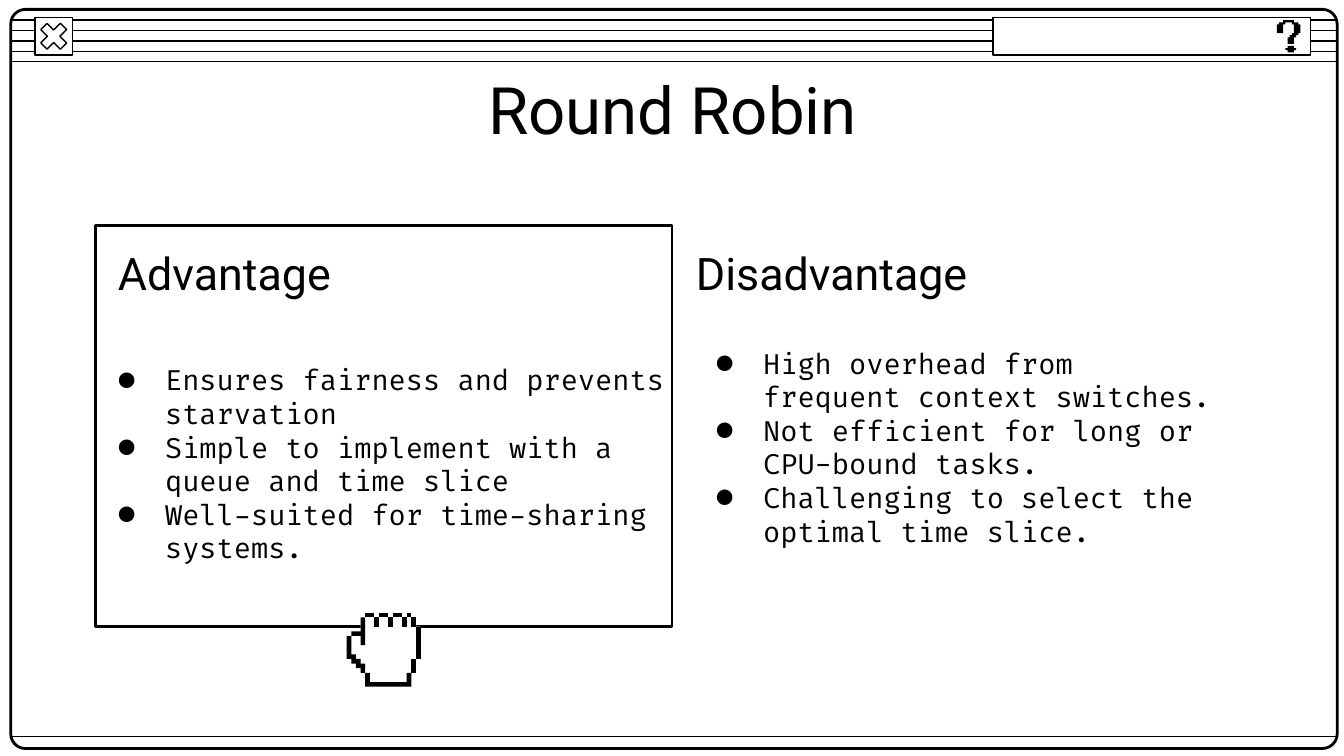
import pptx
import pptx.dml.color
import pptx.enum.shapes
import pptx.enum.text
import pptx.oxml
import pptx.oxml.ns
import pptx.util
from dataclasses import dataclass

Inches = pptx.util.Inches
SHAPE = pptx.enum.shapes.MSO_SHAPE
ALIGN = pptx.enum.text.PP_ALIGN


@dataclass(frozen=True)
class Theme:
    ink: pptx.dml.color.RGBColor = pptx.dml.color.RGBColor(0, 0, 0)
    paper: pptx.dml.color.RGBColor = pptx.dml.color.RGBColor(255, 255, 255)
    heading_font: str = "Roboto"
    body_font: str = "Fira Code"
    title_size: float = 35
    heading_size: float = 24
    body_size: float = 15
    thin: float = 0.75
    thick: float = 1.5


THEME = Theme()

# Pixel art: outlines are corners counted in grid cells
QUESTION_HOOK = [
    (3, 0), (3, 1), (1, 1), (1, 2), (0, 2), (0, 6), (3, 6), (3, 2),
    (4, 2), (4, 1), (7, 1), (7, 2), (8, 2), (8, 6), (7, 6), (7, 7),
    (6, 7), (6, 8), (5, 8), (5, 11), (8, 11), (8, 8), (9, 8), (9, 7),
    (10, 7), (10, 6), (11, 6), (11, 2), (10, 2), (10, 1), (8, 1), (8, 0),
]
QUESTION_DOT = [
    (5, 12), (5, 13), (4, 13), (4, 14), (5, 14), (5, 15),
    (8, 15), (8, 14), (9, 14), (9, 13), (8, 13), (8, 12),
]
HAND_FILL = [
    (4, 0), (4, 1), (3, 1), (3, 4), (1, 4), (1, 5), (0, 5), (0, 10),
    (1, 10), (1, 11), (2, 11), (2, 12), (3, 12), (3, 13), (4, 13), (4, 16),
    (14, 16), (14, 13), (15, 13), (15, 10), (16, 10), (16, 3), (15, 3),
    (15, 1), (14, 1), (14, 0), (13, 0), (13, 1), (12, 1), (12, 0), (10, 0),
    (10, 1), (9, 1), (9, 0), (7, 0), (7, 1), (6, 1), (6, 0),
]
HAND_CUFF = [(4, 13), (4, 16), (14, 16), (14, 13),
             (13, 13), (13, 15), (5, 15), (5, 13)]
HAND_THUMB = [(3, 1), (3, 4), (1, 4), (1, 5), (3, 5), (3, 7), (4, 7), (4, 1)]
HAND_PALM_EDGE = [
    (0, 5), (0, 10), (1, 10), (1, 11), (2, 11), (2, 12), (3, 12), (3, 13),
    (4, 13), (4, 11), (3, 11), (3, 10), (2, 10), (2, 9), (1, 9), (1, 5),
]
# Straight strokes of the hand: left, top, right, bottom
HAND_STROKES = [
    (14, 1, 15, 3), (12, 1, 13, 3), (9, 1, 10, 3), (6, 1, 7, 3),
    (15, 3, 16, 10), (14, 10, 15, 13),
    (4, 0, 6, 1), (7, 0, 9, 1), (10, 0, 12, 1), (13, 0, 14, 1),
]


def add_rule(slide, left, right, y):
    rule = slide.shapes.add_connector(
        pptx.enum.shapes.MSO_CONNECTOR.STRAIGHT,
        Inches(left), Inches(y), Inches(right), Inches(y))
    rule.line.color.rgb = THEME.ink
    rule.line.width = pptx.util.Pt(THEME.thin)
    rule._element.spPr.append(pptx.oxml.parse_xml(
        f'<a:effectLst {pptx.oxml.ns.nsdecls("a")}/>'))


def add_outlined(slide, preset, box, weight, fill=None, adjust=None):
    panel = slide.shapes.add_shape(preset, *map(Inches, box))
    panel.shadow.inherit = False
    if fill is None:
        panel.fill.background()
    else:
        panel.fill.solid()
        panel.fill.fore_color.rgb = fill
    if adjust is not None:
        panel.adjustments[0] = adjust
    panel.line.color.rgb = THEME.ink
    panel.line.width = pptx.util.Pt(weight)


def add_pixels(slide, corners, left, top, cell, color):
    builder = slide.shapes.build_freeform(*corners[0], scale=Inches(cell))
    builder.add_line_segments(corners[1:], close=True)
    pixels = builder.convert_to_shape(Inches(left), Inches(top))
    pixels.shadow.inherit = False
    pixels.fill.solid()
    pixels.fill.fore_color.rgb = color
    pixels.line.fill.background()


def add_bullet(paragraph):
    properties = paragraph._p.get_or_add_pPr()
    properties.set("marL", str(Inches(0.5)))
    properties.set("indent", str(Inches(-0.35)))
    namespace = pptx.oxml.ns.nsdecls("a")
    for element in (
            f'<a:buClr {namespace}><a:srgbClr val="{THEME.ink}"/></a:buClr>',
            f'<a:buFont {namespace} typeface="{THEME.body_font}"/>',
            f'<a:buChar {namespace} char="●"/>'):
        properties.append(pptx.oxml.parse_xml(element))


def add_text(slide, box, lines, font, size, align=ALIGN.LEFT,
             bulleted=False, bottom_inset=0.1):
    frame = slide.shapes.add_textbox(*map(Inches, box)).text_frame
    frame.word_wrap = True
    frame.vertical_anchor = pptx.enum.text.MSO_ANCHOR.MIDDLE
    frame.margin_left = frame.margin_right = frame.margin_top = Inches(0.1)
    frame.margin_bottom = Inches(bottom_inset)
    frame.text = "\n".join(lines)
    for paragraph in frame.paragraphs:
        paragraph.alignment = align
        if bulleted:
            add_bullet(paragraph)
        for run in paragraph.runs:
            run.font.name = font
            run.font.size = pptx.util.Pt(size)
            run.font.color.rgb = THEME.ink


def add_window(slide):
    # Title bar stripes and window border
    for stripe in range(5):
        add_rule(slide, 0.08, 9.95, 0.15 + stripe * 0.31 / 4)
    add_outlined(slide, SHAPE.ROUNDED_RECTANGLE, (0.08, 0.07, 9.87, 5.5),
                 THEME.thick, adjust=0.02)

    # Close button
    for preset, adjust in ((SHAPE.RECTANGLE, None),
                           (SHAPE.MATH_MULTIPLY, 0.235)):
        add_outlined(slide, preset, (0.26, 0.13, 0.28, 0.28),
                     THEME.thin, THEME.paper, adjust)
    add_rule(slide, 0.08, 9.95, 5.48)

    # Help field
    add_outlined(slide, SHAPE.RECTANGLE, (7.39, 0.13, 2.36, 0.28),
                 THEME.thin, THEME.paper)
    for corners in (QUESTION_DOT, QUESTION_HOOK):
        add_pixels(slide, corners, 9.5, 0.15, 0.24 / 15, THEME.ink)


def add_hand(slide):
    strokes = [[(l, t), (l, b), (r, b), (r, t)] for l, t, r, b in HAND_STROKES]
    place = (2.58, 4.56, 0.55 / 16)
    add_pixels(slide, HAND_FILL, *place, THEME.paper)
    for corners in strokes + [HAND_CUFF, HAND_THUMB, HAND_PALM_EDGE]:
        add_pixels(slide, corners, *place, THEME.ink)


def main():
    # Widescreen page, 16 to 9
    deck = pptx.Presentation()
    deck.slide_width = Inches(10)
    deck.slide_height = Inches(10 * 9 / 16)
    slide = deck.slides.add_slide(deck.slide_layouts[6])
    slide.background.fill.solid()
    slide.background.fill.fore_color.rgb = THEME.paper

    add_window(slide)
    add_outlined(slide, SHAPE.RECTANGLE, (0.71, 1.68, 4.29, 2.98), THEME.thick)
    add_text(slide, (0.79, 0.49, 8.43, 0.63), ["Round Robin"],
             THEME.heading_font, THEME.title_size, ALIGN.CENTER)

    # Two columns: heading, heading left, list left, list width, bottom inset
    columns = [
        ("Advantage", 0.78, 0.63, 4.45, 0.1, [
            "Ensures fairness and prevents starvation",
            "Simple to implement with a queue and time slice",
            "Well-suited for time-sharing systems."]),
        ("Disadvantage", 5.08, 5.08, 4.14, 0.35, [
            "High overhead from frequent context switches.",
            "Not efficient for long or CPU-bound tasks.",
            "Challenging to select the optimal time slice."]),
    ]
    for heading, heading_left, left, width, inset, points in columns:
        add_text(slide, (left, 2.3, width, 2.3), points, THEME.body_font,
                 THEME.body_size, bulleted=True, bottom_inset=inset)
        add_text(slide, (heading_left, 1.75, 4.14, 0.55), [heading],
                 THEME.heading_font, THEME.heading_size)

    add_hand(slide)
    deck.save("out.pptx")


if __name__ == "__main__":
    main()
